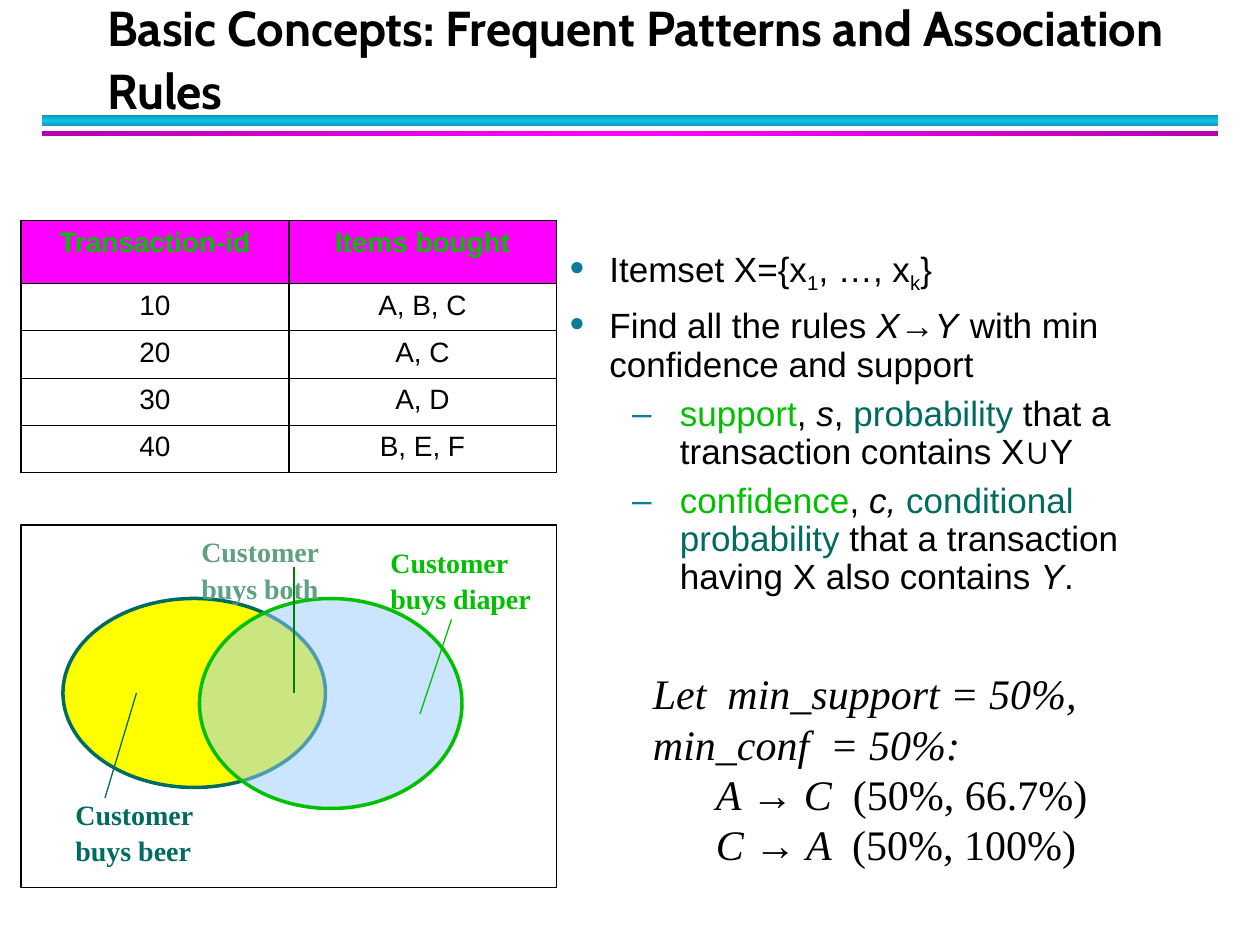
from dataclasses import dataclass
from lxml.etree import SubElement
from pptx import Presentation
from pptx.dml.color import RGBColor
from pptx.enum.shapes import MSO_CONNECTOR, MSO_SHAPE
from pptx.enum.text import MSO_ANCHOR, MSO_AUTO_SIZE, PP_ALIGN
from pptx.oxml.ns import qn
from pptx.util import Inches, Pt


@dataclass(frozen=True)
class Theme:
    black: str = "000000"
    green: str = "00C000"
    dark_green: str = "008000"
    sage: str = "5FA180"
    teal: str = "006B61"
    yellow: str = "FFFF00"
    sky: str = "99CCFF"
    magenta: str = "FF00FF"
    purple: str = "B200B2"
    cyan: str = "12C2E9"
    deep_cyan: str = "0E9BBA"
    bullet: str = "0C7B9C"
    title_font: str = "Cabin"
    body_font: str = "Arial"
    serif_font: str = "Times New Roman"
    title_size: int = 28
    formula_size: int = 24
    body_size: int = 20
    label_size: int = 16


THEME = Theme()
GRID = Inches(1) / 12


@dataclass(frozen=True)
class Box:
    left: float
    top: float
    width: float
    height: float

    def inner(self, column, row, columns=0, rows=0):
        return Box(self.left + column, self.top + row, columns, rows)

    def lengths(self):
        return [round(value * GRID) for value in (self.left, self.top, self.width, self.height)]


def add_span(para, text, font=THEME.body_font, size=THEME.body_size, color=THEME.black,
             bold=False, italic=False, baseline=None):
    span = para.add_run()
    span.text = text
    span.font.name, span.font.size = font, Pt(size)
    span.font.bold, span.font.italic = bold, italic
    span.font.color.rgb = RGBColor.from_string(color)
    if baseline is not None:
        span.font._element.set("baseline", str(baseline * 1000))


def add_para(frame, spans, first=False, **style):
    para = frame.paragraphs[0] if first else frame.add_paragraph()
    for text, extra in spans:
        add_span(para, text, **{**style, **extra})
    return para


def set_indent(para, margin, indent=0):
    properties = para._p.get_or_add_pPr()
    properties.set("marL", str(Inches(margin)))
    properties.set("indent", str(Inches(indent)))
    return properties


def set_bullet(para, character, size, margin, indent):
    properties = set_indent(para, margin, indent)
    color = SubElement(properties, qn("a:buClr"))
    SubElement(color, qn("a:srgbClr"), val=THEME.bullet)
    SubElement(properties, qn("a:buSzPct"), val=str(size * 1000))
    SubElement(properties, qn("a:buFont"), typeface=THEME.body_font)
    SubElement(properties, qn("a:buChar"), char=character)


def place(shape, box):
    shape.left, shape.top, shape.width, shape.height = box.lengths()


def add_figure(shapes, kind, box, fill=None, line=None, width=0.75, alpha=None):
    shape = shapes.add_shape(kind, *box.lengths())
    shape.shadow.inherit = False
    if fill:
        shape.fill.solid()
        shape.fill.fore_color.rgb = RGBColor.from_string(fill)
    else:
        shape.fill.background()
    if alpha:
        color = shape._element.spPr.find(qn("a:solidFill")).find(qn("a:srgbClr"))
        SubElement(color, qn("a:alpha"), val=str(alpha * 1000))
    if line:
        shape.line.color.rgb = RGBColor.from_string(line)
        shape.line.width = Pt(width)
    else:
        shape.line.fill.background()
    return shape


def add_rule_bars(page, box):
    group = page.shapes.add_group_shape()
    bars = [(0, 1, THEME.deep_cyan, THEME.cyan, 90), (1.5, 0.5, THEME.purple, THEME.magenta, 0)]
    for row, rows, edge, middle, angle in bars:
        bar = add_figure(group.shapes, MSO_SHAPE.RECTANGLE, box.inner(0, row, box.width, rows))
        bar.fill.gradient()
        bar.fill.gradient_angle = angle
        stops = bar._element.spPr.find(qn("a:gradFill")).find(qn("a:gsLst"))
        for stop in list(stops):
            stops.remove(stop)
        for position, color in ((0, edge), (50, middle), (100, edge)):
            stop = SubElement(stops, qn("a:gs"), pos=str(position * 1000))
            SubElement(stop, qn("a:srgbClr"), val=color)
    page.shapes._spTree.insert(2, group._element)


def add_title(page, box):
    title = page.shapes.title
    place(title, box)
    frame = title.text_frame
    frame.auto_size, frame.vertical_anchor = MSO_AUTO_SIZE.NONE, MSO_ANCHOR.BOTTOM
    para = add_para(frame, [("Basic Concepts: Frequent Patterns and Association Rules", {})],
                    first=True, font=THEME.title_font, size=THEME.title_size, bold=True)
    para.alignment, para.line_spacing = PP_ALIGN.LEFT, Pt(36)


def add_definitions(page, box):
    body = page.placeholders[1]
    place(body, box)
    frame = body.text_frame
    frame.auto_size, frame.vertical_anchor = MSO_AUTO_SIZE.NONE, MSO_ANCHOR.TOP
    italic, green, teal = {"italic": True}, {"color": THEME.green}, {"color": THEME.teal}
    low = {"baseline": -25}
    items = [
        (0, [("Itemset X={x", {}), ("1", low), (", …, x", {}), ("k", low), ("}", {})]),
        (0, [("Find all the rules ", {}), ("X→Y", italic),
             (" ", {"italic": True, "size": THEME.formula_size}),
             ("with min confidence and support", {})]),
        (1, [("support", green), (", ", {}), ("s", italic), (", ", {}), ("probability", teal),
             (" that a transaction contains X∪Y", {})]),
        (1, [("confidence", green), (", ", {}), ("c, ", italic), ("conditional probability", teal),
             (" that a transaction having X also contains ", {}), ("Y", italic), (".", {})]),
    ]
    bullets = [("●", 75, 0.32, -0.32), ("–", 100, 0.88, -0.38)]
    for index, (level, spans) in enumerate(items):
        para = add_para(frame, spans, first=index == 0)
        para.level, para.line_spacing = level, 0.9
        para.space_before, para.space_after = Pt(2.5), Pt(4)
        set_bullet(para, *bullets[level])


def add_example(page, box):
    frame = page.shapes.add_textbox(*box.lengths()).text_frame
    frame.word_wrap = True
    style = {"font": THEME.serif_font, "size": THEME.formula_size, "italic": True}
    add_para(frame, [("Let  min_support = 50%, min_conf  = 50%:", {})], first=True, **style)
    for cause, effect, measures in (("A", "C", "(50%, 66.7%)"), ("C", "A", "(50%, 100%)")):
        para = add_para(frame, [(f"{cause} ", {}),
                                ("→", {"font": THEME.body_font, "italic": False}),
                                (f" {effect}  ", {}), (measures, {"italic": False})], **style)
        para.level = 1
        set_indent(para, 0.5)


def add_venn(page, box):
    shapes = page.shapes.add_group_shape().shapes
    add_figure(shapes, MSO_SHAPE.OVAL, box.inner(4, 7, 25, 18), THEME.yellow, THEME.teal, 2)
    add_figure(shapes, MSO_SHAPE.OVAL, box.inner(17, 7, 25, 20), THEME.sky, THEME.green, 2, alpha=50)
    leaders = [(11, 16, 8, 26, THEME.teal), (38, 18, 41, 9, THEME.green),
               (26, 16, 26, 4, THEME.dark_green)]
    for *ends, color in leaders:
        start, end = box.inner(*ends[:2]), box.inner(*ends[2:])
        leader = shapes.add_connector(MSO_CONNECTOR.STRAIGHT, *start.lengths()[:2], *end.lengths()[:2])
        leader.line.color.rgb, leader.line.width = RGBColor.from_string(color), Pt(0.75)
        SubElement(leader._element.spPr, qn("a:effectLst"))
    labels = [(34, 1, 16, "buys diaper", THEME.green, True),
              (16, 0, 13.7, "buys both", THEME.sage, True),
              (4, 25, 13.6, "buys beer", THEME.teal, False)]
    for column, row, columns, action, color, wrap in labels:
        frame = shapes.add_textbox(*box.inner(column, row, columns, 8.3).lengths()).text_frame
        frame.word_wrap, frame.auto_size = wrap, MSO_AUTO_SIZE.SHAPE_TO_FIT_TEXT
        for index, text in enumerate(("Customer", action)):
            para = add_para(frame, [(text, {})], first=index == 0, font=THEME.serif_font,
                            size=THEME.label_size, color=color, bold=True)
            para.line_spacing = 1.1
    add_figure(shapes, MSO_SHAPE.RECTANGLE, box, line=THEME.black)


def set_borders(cell, **widths):
    for side, width in widths.items():
        line = SubElement(cell._tc.get_or_add_tcPr(), qn(f"a:ln{side}"), w=str(Pt(width)))
        SubElement(SubElement(line, qn("a:solidFill")), qn("a:srgbClr"), val=THEME.black)


def add_transactions(page, box):
    rows = [("Transaction-id", "Items bought"), ("10", "A, B, C"), ("20", "A, C"),
            ("30", "A, D"), ("40", "B, E, F")]
    table = page.shapes.add_table(len(rows), 2, *box.lengths()).table
    table.first_row = table.horz_banding = False
    last, thick, thin = len(rows) - 1, 1.08, 0.45
    for row, texts in enumerate(rows):
        header = row == 0
        table.rows[row].height = round((6 if header else (box.height - 6) / last) * GRID)
        for column, text in enumerate(texts):
            cell = table.cell(row, column)
            para = add_para(cell.text_frame, [(text, {})], first=True, size=THEME.label_size,
                            color=THEME.green if header else THEME.black, bold=header)
            para.alignment = PP_ALIGN.CENTER
            para.space_before, para.space_after = Pt(2), Pt(4)
            set_borders(cell, L=thick, R=thick, T=thick if row < 2 else thin,
                        B=thick if row in (0, last) else thin)
            if header:
                cell.fill.solid()
                cell.fill.fore_color.rgb = RGBColor.from_string(THEME.magenta)
            else:
                cell.fill.background()


def main():
    deck = Presentation()
    deck.slide_width, deck.slide_height = Inches(10), Inches(7.5)
    page = deck.slides.add_slide(deck.slide_layouts[1])
    add_rule_bars(page, Box(4, 11, 112, 2))
    add_title(page, Box(9, 0, 105, 12))
    add_definitions(page, Box(53, 23, 65, 35.5))
    add_example(page, Box(61, 63, 53.4, 21))
    add_venn(page, Box(2, 50, 51, 34.5))
    add_transactions(page, Box(2, 21, 51, 24))
    deck.save("out.pptx")


if __name__ == "__main__":
    main()
